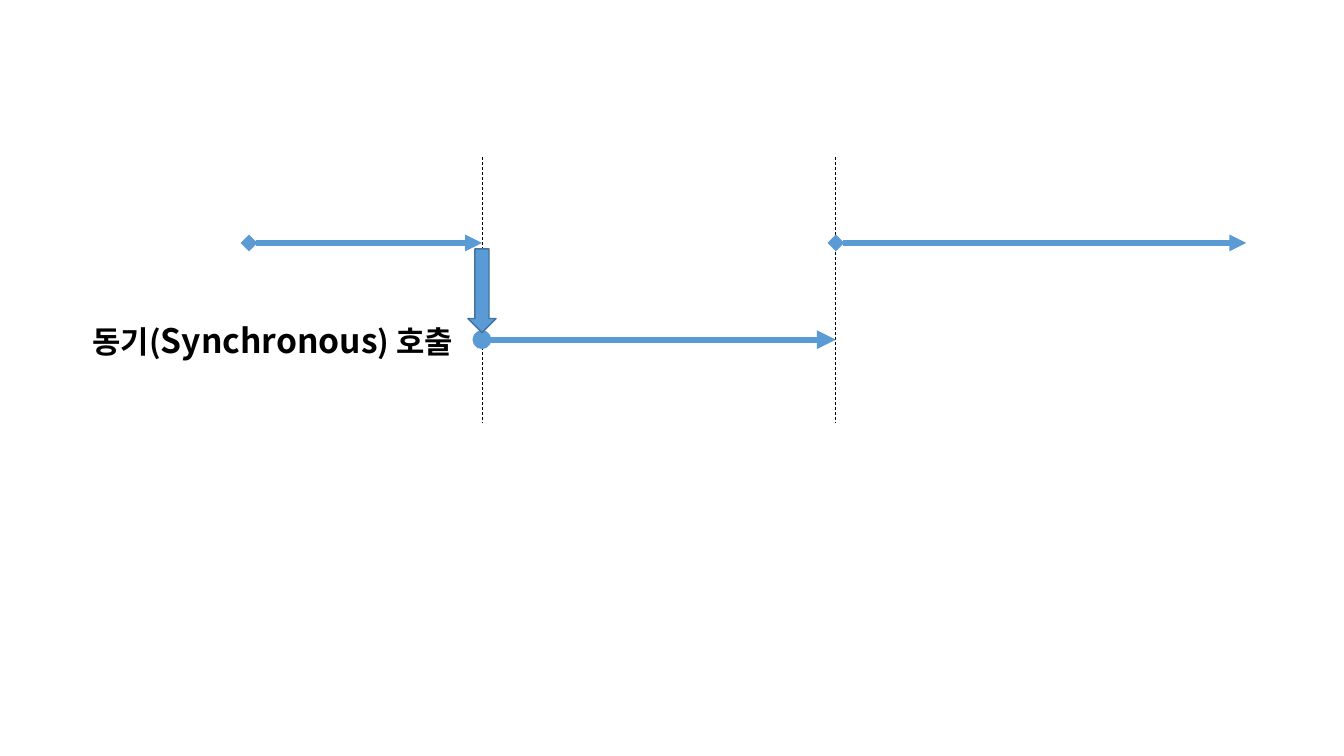
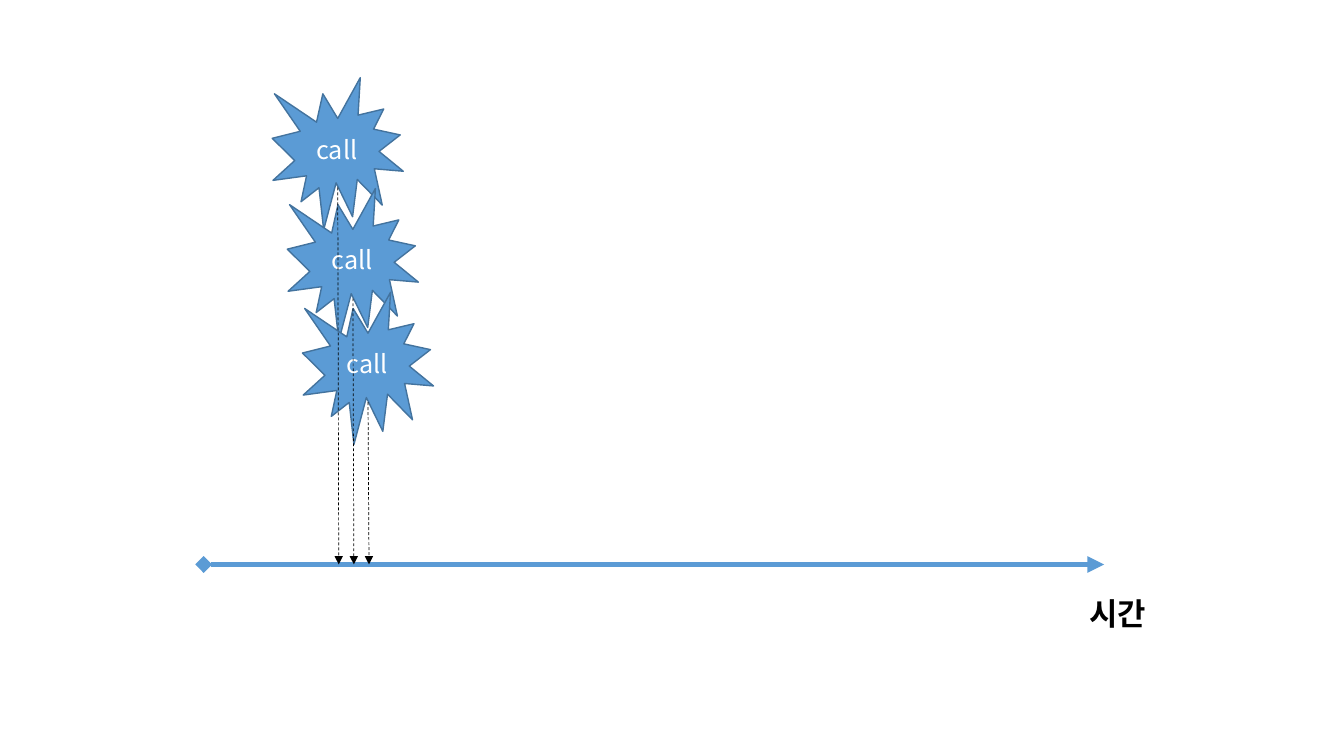
"""Build two slides that show synchronous calls on a timeline."""

from dataclasses import dataclass

from lxml import etree
from pptx import Presentation
from pptx.dml.color import RGBColor
from pptx.enum.dml import MSO_LINE
from pptx.enum.shapes import MSO_CONNECTOR, MSO_SHAPE
from pptx.enum.text import MSO_ANCHOR, MSO_AUTO_SIZE, PP_ALIGN
from pptx.oxml.ns import qn
from pptx.util import Emu, Pt

STRAIGHT = MSO_CONNECTOR.STRAIGHT
DASH = MSO_LINE.DASH
DOWN_ARROW, BURST = MSO_SHAPE.DOWN_ARROW, MSO_SHAPE.EXPLOSION1
MIDDLE, TOP = MSO_ANCHOR.MIDDLE, MSO_ANCHOR.TOP
CENTER, LEFT = PP_ALIGN.CENTER, PP_ALIGN.LEFT
GROW = MSO_AUTO_SIZE.SHAPE_TO_FIT_TEXT

FONT = "Noto Sans CJK KR"
BLUE, DARK_BLUE, BLACK, WHITE = "5B9BD5", "43739E", "000000", "FFFFFF"
EMU_PER_PX = 9144


@dataclass
class Box:
    left: int
    top: int
    width: int
    height: int


@dataclass
class Line:
    x1: int
    y1: int
    x2: int
    y2: int
    color: str = BLUE
    weight: float = 4
    dashed: bool = False
    head: str = ""
    tail: str = ""


def px(length: int) -> Emu:
    return Emu(length * EMU_PER_PX)


def rgb(color: str) -> RGBColor:
    return RGBColor.from_string(color)


def guide(x1: int, y1: int, x2: int, y2: int, tail: str = "") -> Line:
    return Line(x1, y1, x2, y2, BLACK, 0.5, dashed=True, tail=tail)


def flow(x1: int, x2: int, y: int, weight: float = 4, head: str = "diamond") -> Line:
    return Line(x1, y, x2, y, weight=weight, head=head, tail="triangle")


def draw_line(slide, line: Line) -> None:
    connector = slide.shapes.add_connector(
        STRAIGHT, px(line.x1), px(line.y1), px(line.x2), px(line.y2))
    connector.line.color.rgb = rgb(line.color)
    connector.line.width = Pt(line.weight)
    if line.dashed:
        connector.line.dash_style = DASH
    outline = connector.line._get_or_add_ln()
    for tag, kind in (("a:headEnd", line.head), ("a:tailEnd", line.tail)):
        if kind:
            etree.SubElement(outline, qn(tag), type=kind)
    etree.SubElement(connector._element.spPr, qn("a:effectLst"))


def draw_shape(slide, preset, box: Box):
    shape = slide.shapes.add_shape(
        preset, px(box.left), px(box.top), px(box.width), px(box.height))
    shape.shadow.inherit = False
    shape.fill.solid()
    shape.fill.fore_color.rgb = rgb(BLUE)
    shape.line.color.rgb = rgb(DARK_BLUE)
    shape.line.width = Pt(1)
    return shape


def write(shape, parts: list[tuple[str, int]], *, color: str = BLACK,
          bold: bool = False, align=LEFT, anchor=TOP) -> None:
    frame = shape.text_frame
    frame.word_wrap = True
    frame.vertical_anchor = anchor
    paragraph = frame.paragraphs[0]
    paragraph.alignment = align
    for text, size in parts:
        run = paragraph.add_run()
        run.text = text
        run.font.size = Pt(size)
        run.font.bold = bold
        run.font.name = FONT
        run.font.color.rgb = rgb(color)
        etree.SubElement(run.font._element, qn("a:ea"), typeface=FONT)


def draw_label(slide, box: Box, parts: list[tuple[str, int]]) -> None:
    label = slide.shapes.add_textbox(
        px(box.left), px(box.top), px(box.width), px(box.height))
    write(label, parts, bold=True)
    label.text_frame.auto_size = GROW


def build_synchronous(slide) -> None:
    call_x, return_x = 478, 829
    caller_y, callee_y = 241, 337
    for x in (call_x, return_x):
        draw_line(slide, guide(x, 156, x, 419))
    draw_label(slide, Box(82, 312, 397, 50),
               [("동기(", 22), ("Synchronous", 24), (") 호출", 22)])
    draw_line(slide, flow(247, call_x, caller_y))
    draw_line(slide, flow(call_x, return_x, callee_y, weight=4.5, head="oval"))
    draw_shape(slide, DOWN_ARROW, Box(call_x - 14, 247, 28, 83))
    draw_line(slide, flow(return_x, 1236, caller_y))


def build_calls(slide) -> None:
    time_y = 560
    bursts = [Box(270 + 15 * step, top, 130, 151)
              for step, top in enumerate((77, 187, 290))]
    for index, burst in enumerate(bursts):
        call = draw_shape(slide, BURST, burst)
        write(call, [("call", 18)], color=WHITE, align=CENTER, anchor=MIDDLE)
        if index == 0:
            draw_line(slide, flow(202, 1095, time_y))
            draw_label(slide, Box(1071, 585, 99, 47), [("시간", 22)])
    for burst in bursts:
        x = burst.left + burst.width // 2
        draw_line(slide, guide(x, burst.top + 109, x + 1, time_y, tail="triangle"))


def main() -> None:
    deck = Presentation()
    deck.slide_width, deck.slide_height = px(1333), px(750)
    for build in (build_synchronous, build_calls):
        build(deck.slides.add_slide(deck.slide_layouts[6]))
    deck.save("out.pptx")


if __name__ == "__main__":
    main()
